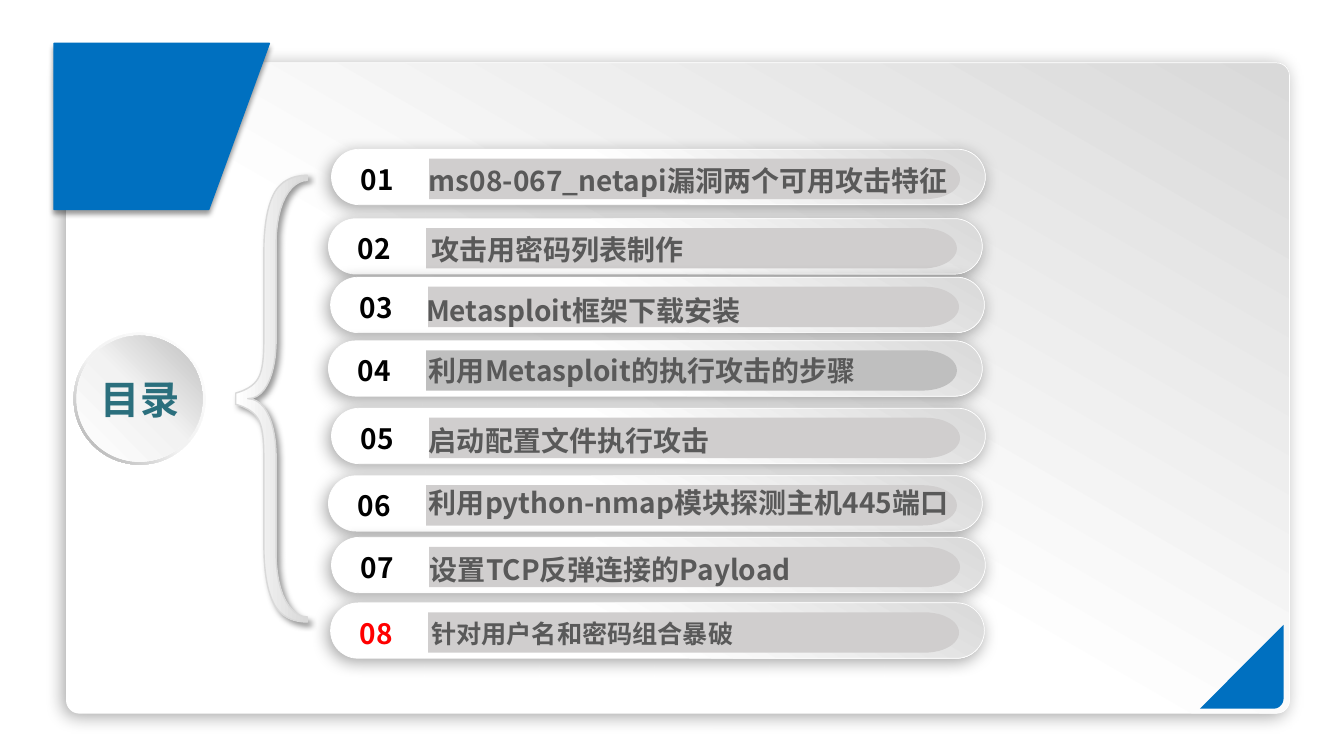
from copy import deepcopy

from lxml import etree
from pptx import Presentation
from pptx.dml.color import RGBColor
from pptx.enum.shapes import MSO_SHAPE
from pptx.enum.text import MSO_ANCHOR, PP_ALIGN
from pptx.oxml.ns import qn
from pptx.util import Pt

ROUND, DONUT, OVAL = MSO_SHAPE.ROUNDED_RECTANGLE, MSO_SHAPE.DONUT, MSO_SHAPE.OVAL
MIDDLE, CENTER = MSO_ANCHOR.MIDDLE, PP_ALIGN.CENTER
TITLE_ONLY = 5

HEADING = "目录"
# topic, pill left and top, topic left and top
TOPICS = [
    ("ms08-067_netapi漏洞两个可用攻击特征", 236.9, 106.6, 299.5, 113),
    ("攻击用密码列表制作", 234.7, 156.2, 301, 162.7),
    ("Metasploit框架下载安装", 236.2, 198, 297.4, 205.9),
    ("利用Metasploit的执行攻击的步骤", 234.7, 243.4, 299.5, 249.1),
    ("启动配置文件执行攻击", 236.9, 291.6, 299.5, 298.8),
    ("利用python-nmap模块探测主机445端口", 234.7, 339.8, 299.5, 343.4),
    ("设置TCP反弹连接的Payload", 236.9, 383.8, 300.2, 391),
    ("针对用户名和密码组合暴破", 236.2, 430.6, 301, 437.8),
]
DARKER_BAR = 4
LAST = len(TOPICS)

BLUE, WHITE, SILVER = "0070C0", "FFFFFF", "D9D9D9"
FONT = "Noto Sans CJK SC"
SHEEN = ([(45, WHITE), (100, SILVER)], 300)
RING = ([(0, WHITE), (55, "F2F2F2"), (100, "A6A6A6")], 135)
DISC = ([(0, WHITE), (51, "F2F2F2"), (100, "BFBFBF")], 315)
BRACE = ([(0, WHITE), (100, SILVER)], 0)
# opacity %, blur, distance, direction
PANEL_SHADOW = (34, 12, 3, 135)
TAG_SHADOW, BRACE_SHADOW = (40, 4, 3, 90), (40, 4, 3, 45)

BAR_W, BAR_H = 379.4, 28.8
BRACE_MIDDLE = 284.8
# upper half of the brace: from the tip along the outside, then back inside
BRACE_CURVES = [
    [(168.5, 280.8), (176.4, 278.6), (182.2, 275), (185, 269.3)],
    [(185, 269.3), (187.9, 263.5), (188.6, 254.2), (188.6, 241.2)],
    [(188.6, 180), (188.6, 159.8), (191.5, 145.4), (196.6, 136.8)],
    [(196.6, 136.8), (201.6, 128.9), (209.5, 125.3), (219.6, 125.3)],
    [(219.6, 128.9), (208.1, 128.9), (197.3, 144.7), (197.3, 174.2)],
    [(197.3, 244.1), (197.3, 262.8), (191.5, 284.8), (177.1, 284.8)],
]


def rgb(color):
    return RGBColor.from_string(color)


def curve(start, pull_a, pull_b, end, steps=12):
    """Points along a cubic Bezier curve."""
    points = []
    for i in range(steps + 1):
        t = i / steps
        weights = ((1 - t) ** 3, 3 * t * (1 - t) ** 2, 3 * t * t * (1 - t), t ** 3)
        corners = (start, pull_a, pull_b, end)
        points.append(tuple(sum(w * c[axis] for w, c in zip(weights, corners))
                            for axis in (0, 1)))
    return points


def with_mirror(half, middle):
    """Close a half outline by reflecting it below the line y = middle."""
    return half + [(x, 2 * middle - y) for x, y in reversed(half)]


def style(shape, fill, line=None, shadow=None):
    """Fill with a colour or a (stops, angle) gradient; line is (colour, width)."""
    if isinstance(fill, str):
        shape.fill.solid()
        shape.fill.fore_color.rgb = rgb(fill)
    else:
        stops, angle = fill
        shape.fill.gradient()
        shape.fill.gradient_angle = (360 - angle) % 360
        stop_list = shape._element.spPr.find(".//" + qn("a:gsLst"))
        while len(stop_list) < len(stops):
            stop_list.append(deepcopy(stop_list[-1]))
        for stop, (position, color) in zip(shape.fill.gradient_stops, stops):
            stop.color.rgb = rgb(color)
            stop.position = position / 100
    if line:
        shape.line.color.rgb = rgb(line[0])
        shape.line.width = Pt(line[1])
    else:
        shape.line.fill.background()
    shape.shadow.inherit = False
    if shadow:
        opacity, blur, distance, direction = shadow
        effects = shape._element.spPr.find(qn("a:effectLst"))
        outer = etree.SubElement(effects, qn("a:outerShdw"), blurRad=str(Pt(blur)),
                                 dist=str(Pt(distance)), dir=str(direction * 60000),
                                 algn="ctr", rotWithShape="0")
        black = etree.SubElement(outer, qn("a:srgbClr"), val="000000")
        etree.SubElement(black, qn("a:alpha"), val=str(opacity * 1000))


def add_preset(kind, box, adjust, *look):
    shape = slide.shapes.add_shape(kind, *map(Pt, box))
    if adjust is not None:
        shape.adjustments[0] = adjust
    style(shape, *look)


def add_outline(points, *look):
    corners = [(Pt(x), Pt(y)) for x, y in points]
    builder = slide.shapes.build_freeform(*corners[0])
    builder.add_line_segments(corners[1:], close=True)
    style(builder.convert_to_shape(), *look)


def write(frame, words, size, color):
    run = frame.paragraphs[0].add_run()
    run.text = words
    for key, value in {"name": FONT, "size": Pt(size), "bold": True}.items():
        setattr(run.font, key, value)
    run.font.color.rgb = rgb(color)
    etree.SubElement(run._r.get_or_add_rPr(), qn("a:ea"), typeface=FONT)


def add_label(words, box, size, color):
    frame = slide.shapes.add_textbox(*map(Pt, box)).text_frame
    frame.word_wrap = True
    write(frame, words, size, color)


prs = Presentation()
prs.slide_width, prs.slide_height = Pt(960.5), Pt(540)
slide = prs.slides.add_slide(prs.slide_layouts[TITLE_ONLY])

# Panel, corner and tag
add_preset(ROUND, (47.5, 44.9, 874.1, 464.6), 0.02, SHEEN, (WHITE, 0.5), PANEL_SHADOW)
corner_curve = curve((917.3, 499), (917.3, 502.6), (914.4, 506.2), (910.1, 506.2))
add_outline([(917.3, 446.4), *corner_curve, (857.5, 506.2)], BLUE)
add_outline([(192.5, 31), (38.6, 31), (38.6, 149.6), (149.2, 149.6)],
            BLUE, (BLUE, 1), TAG_SHADOW)

# Heading disc and brace
add_preset(DONUT, (52.6, 237.6, 94.3, 94.3), 0.05, RING)
add_preset(OVAL, (54.7, 239.8, 90, 90), None, DISC)
brace_half = [point for part in BRACE_CURVES for point in curve(*part)]
add_outline(with_mirror(brace_half, BRACE_MIDDLE), BRACE, (SILVER, 1), BRACE_SHADOW)

heading = slide.shapes.title
slide.shapes._spTree.append(heading._element)
for key, value in {"left": 50.4, "top": 267.8, "width": 99.4, "height": 33.8}.items():
    setattr(heading, key, Pt(value))
for key in ("margin_left", "margin_top", "margin_right", "margin_bottom"):
    setattr(heading.text_frame, key, 0)
heading.text_frame.vertical_anchor = MIDDLE
heading.text_frame.paragraphs[0].alignment = CENTER
write(heading.text_frame, HEADING, 28, "2B6F7D")

# Topics
bar_half = [(0, 0), *curve((BAR_W - 24.5, 0), (BAR_W - 10.8, 0),
                           (BAR_W, 6.4), (BAR_W, BAR_H / 2))]
bar_outline = with_mirror(bar_half, BAR_H / 2)
for number, (topic, left, top, topic_left, topic_top) in enumerate(TOPICS, 1):
    add_preset(ROUND, (left, top, 467.3, 39.6), 0.5, SHEEN, (WHITE, 0.5), PANEL_SHADOW)
    add_outline([(left + 69.8 + x, top + 6.8 + y) for x, y in bar_outline],
                "BFBFBF" if number == DARKER_BAR else "D0CECE")
    add_label(f"{number:02}", (left + 13.7, top + 5.9, 56.9, 31.7), 20,
              "FF0000" if number == LAST else "000000")
    add_label(topic, (topic_left, topic_top, 545, 31.7),
              18 if number == LAST else 20, "595959")

prs.save("out.pptx")
